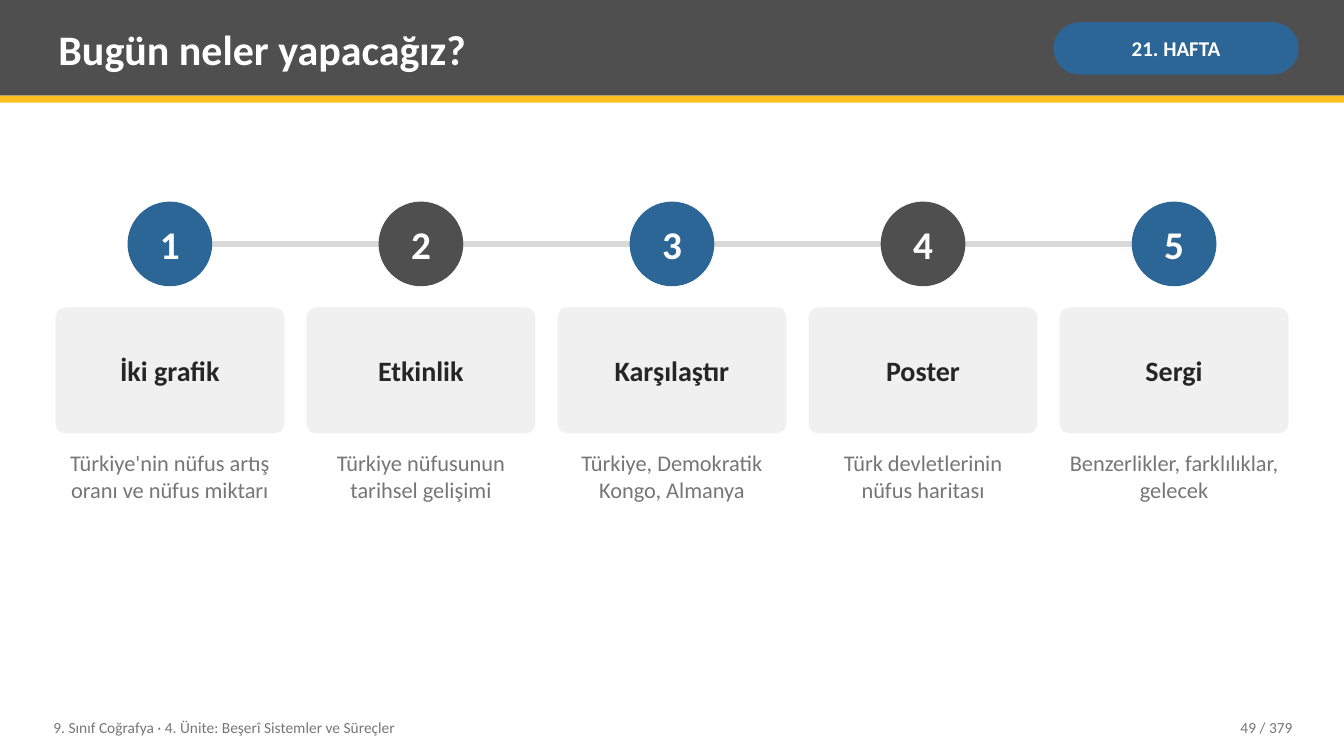
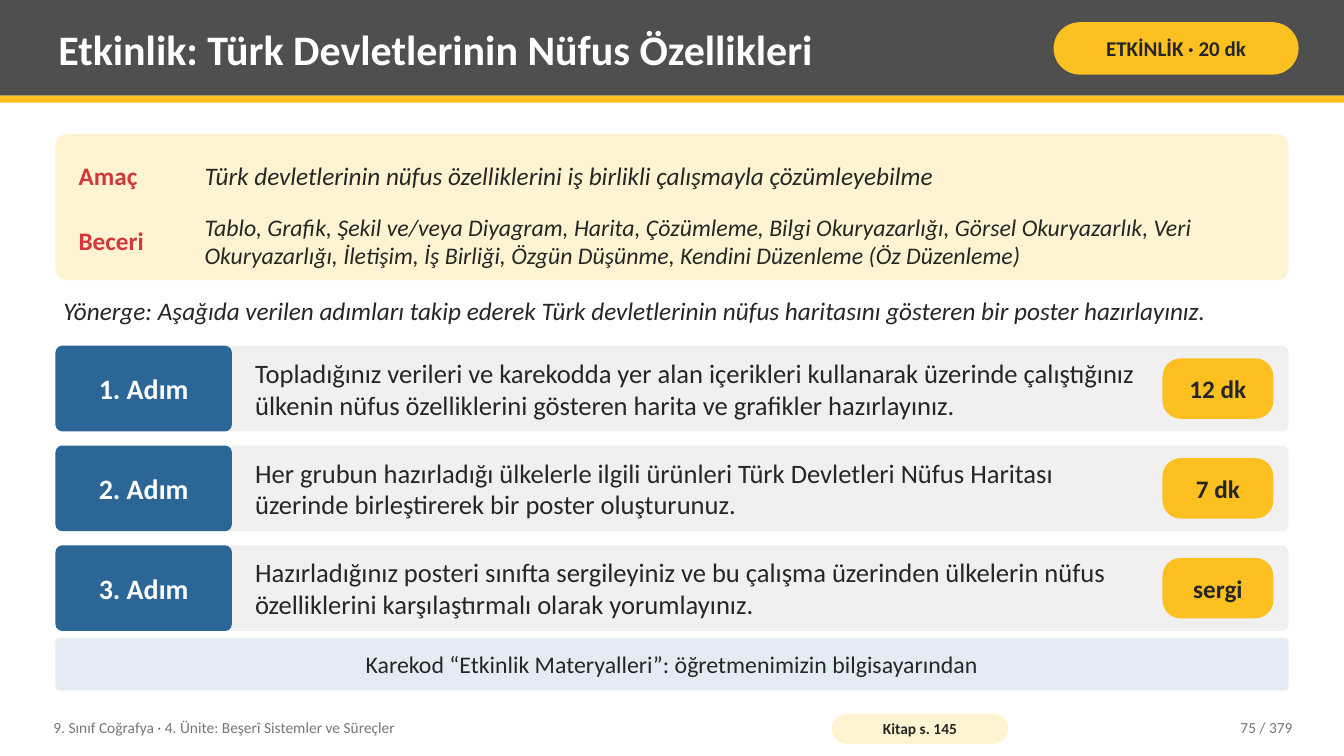
"""Builds two geography lesson slides: the agenda of the week and a group activity."""
from lxml import etree
from pptx import Presentation
from pptx.dml.color import RGBColor
from pptx.enum.shapes import MSO_CONNECTOR, MSO_SHAPE
from pptx.enum.text import MSO_ANCHOR, PP_ALIGN
from pptx.oxml.ns import qn
from pptx.util import Inches, Pt

RECT, ROUND, OVAL = MSO_SHAPE.RECTANGLE, MSO_SHAPE.ROUNDED_RECTANGLE, MSO_SHAPE.OVAL
STRAIGHT = MSO_CONNECTOR.STRAIGHT
TOP, MIDDLE = MSO_ANCHOR.TOP, MSO_ANCHOR.MIDDLE
LEFT, CENTER, RIGHT = PP_ALIGN.LEFT, PP_ALIGN.CENTER, PP_ALIGN.RIGHT

FONT = "Calibri"
COLORS = {
    "white": "FFFFFF", "ink": "262626", "muted": "767676", "band": "4F4F4F",
    "blue": "2C6696", "yellow": "FCC021", "cream": "FFF3D1", "red": "D3373A",
    "panel": "F0F0F0", "ice": "E3ECF5", "rail": "D9D9D9",
}
WIDTH, HEIGHT = 13.33, 7.5
MARGIN = 0.55
CONTENT = WIDTH - 2 * MARGIN
TEXT_INSETS = (0.08, 0.04)

FOOTER = "9. Sınıf Coğrafya · 4. Ünite: Beşerî Sistemler ve Süreçler"
PAGE_COUNT = 379

AGENDA = {
    "title": "Bugün neler yapacağız?",
    "badge": ("21. HAFTA", "blue", "white"),
    "page": 49,
    "stages": [
        ("İki grafik", "Türkiye'nin nüfus artış oranı ve nüfus miktarı"),
        ("Etkinlik", "Türkiye nüfusunun tarihsel gelişimi"),
        ("Karşılaştır", "Türkiye, Demokratik Kongo, Almanya"),
        ("Poster", "Türk devletlerinin nüfus haritası"),
        ("Sergi", "Benzerlikler, farklılıklar, gelecek"),
    ],
}
ACTIVITY = {
    "title": "Etkinlik: Türk Devletlerinin Nüfus Özellikleri",
    "badge": ("ETKİNLİK · 20 dk", "yellow", "ink"),
    "page": 75,
    "book": "Kitap s. 145",
    "goals": [
        ("Amaç", "Türk devletlerinin nüfus özelliklerini iş birlikli çalışmayla "
                 "çözümleyebilme", 18, 1.39, 0.69),
        ("Beceri", "Tablo, Grafik, Şekil ve/veya Diyagram, Harita, Çözümleme, Bilgi "
                   "Okuryazarlığı, Görsel Okuryazarlık, Veri Okuryazarlığı, İletişim, "
                   "İş Birliği, Özgün Düşünme, Kendini Düzenleme (Öz Düzenleme)",
         17, 2.06, 0.66),
    ],
    "instruction": "Yönerge: Aşağıda verilen adımları takip ederek Türk devletlerinin "
                   "nüfus haritasını gösteren bir poster hazırlayınız.",
    "steps": [
        ("Topladığınız verileri ve karekodda yer alan içerikleri kullanarak üzerinde "
         "çalıştığınız ülkenin nüfus özelliklerini gösteren harita ve grafikler "
         "hazırlayınız.", "12 dk"),
        ("Her grubun hazırladığı ülkelerle ilgili ürünleri Türk Devletleri Nüfus "
         "Haritası üzerinde birleştirerek bir poster oluşturunuz.", "7 dk"),
        ("Hazırladığınız posteri sınıfta sergileyiniz ve bu çalışma üzerinden ülkelerin "
         "nüfus özelliklerini karşılaştırmalı olarak yorumlayınız.", "sergi"),
    ],
    "material": "Karekod “Etkinlik Materyalleri”: öğretmenimizin bilgisayarından",
}


def rgb(color):
    return RGBColor.from_string(COLORS[color])


def write(holder, text, size, color="ink", bold=False, italic=False, align=LEFT,
          anchor=MIDDLE, insets=TEXT_INSETS, wrap=True):
    frame = holder.text_frame
    frame.text = text
    frame.word_wrap = wrap
    frame.vertical_anchor = anchor
    frame.margin_left = frame.margin_right = Inches(insets[0])
    frame.margin_top = frame.margin_bottom = Inches(insets[1])
    paragraph = frame.paragraphs[0]
    paragraph.alignment = align
    font = paragraph.runs[0].font
    font.name, font.size, font.bold, font.italic = FONT, Pt(size), bold, italic
    font.color.rgb = rgb(color)


def add_text(slide, box, text, size, **style):
    write(slide.shapes.add_textbox(*map(Inches, box)), text, size, **style)


def add_block(slide, box, fill, kind=ROUND, corner=0.08, text=None, **style):
    block = slide.shapes.add_shape(kind, *map(Inches, box))
    block.shadow.inherit = False
    block.fill.solid()
    block.fill.fore_color.rgb = rgb(fill)
    block.line.fill.background()
    if kind == ROUND:
        block.adjustments[0] = corner
    if text:
        write(block, text, align=CENTER, **style)


def add_rail(slide, start, end, y):
    rail = slide.shapes.add_connector(STRAIGHT, *map(Inches, (start, y, end, y)))
    rail.line.color.rgb = rgb("rail")
    rail.line.width = Pt(4)
    etree.SubElement(rail._element.spPr, qn("a:effectLst"))


def add_frame(deck, content):
    slide = deck.slides.add_slide(deck.slide_layouts[6])
    add_block(slide, (0, 0, WIDTH, 0.95), "band", RECT)
    add_block(slide, (0, 0.95, WIDTH, 0.07), "yellow", RECT)
    add_text(slide, (0.5, 0.07, 9.75, 0.82), content["title"], 30, color="white", bold=True)
    label, fill, color = content["badge"]
    add_block(slide, (10.45, 0.22, 2.43, 0.52), fill, corner=0.5, text=label, size=15,
              color=color, bold=True, insets=(0.05, 0.02))
    add_text(slide, (0.45, 7.04, 7.6, 0.36), FOOTER, 11, color="muted")
    if "book" in content:
        add_block(slide, (8.25, 7.08, 1.75, 0.3), "cream", corner=0.5,
                  text=content["book"], size=11, bold=True, insets=(0.04, 0))
    add_text(slide, (11.3, 7.04, 1.6, 0.36), f"{content['page']} / {PAGE_COUNT}", 11,
             color="muted", align=RIGHT)
    return slide


def build_agenda(deck):
    slide = add_frame(deck, AGENDA)
    stages = AGENDA["stages"]
    gap, circle, circle_top = 0.22, 0.84, 2
    column = (CONTENT - gap * (len(stages) - 1)) / len(stages)
    lefts = [MARGIN + i * (column + gap) for i in range(len(stages))]
    centers = [left + column / 2 for left in lefts]
    add_rail(slide, centers[0], centers[-1], circle_top + circle / 2)
    for i, (name, detail) in enumerate(stages):
        add_block(slide, (centers[i] - circle / 2, circle_top, circle, circle),
                  ("blue", "band")[i % 2], OVAL, text=str(i + 1), size=28,
                  color="white", bold=True, insets=(0, 0), wrap=False)
        add_block(slide, (lefts[i], 3.05, column, 1.25), "panel", text=name, size=20,
                  bold=True, insets=(0.08, 0.08))
        add_text(slide, (lefts[i], 4.42, column, 1.9), detail, 16, color="muted",
                 align=CENTER, anchor=TOP)


def build_activity(deck):
    slide = add_frame(deck, ACTIVITY)
    add_block(slide, (MARGIN, 1.33, CONTENT, 1.45), "cream")
    for label, goal, size, top, height in ACTIVITY["goals"]:
        add_text(slide, (0.7, top, 1.25, height), label, 18, color="red", bold=True)
        add_text(slide, (1.95, top, 10.63, height), goal, size, italic=True)
    add_text(slide, (MARGIN, 2.83, CONTENT, 0.5), ACTIVITY["instruction"], 18, italic=True)

    row, pitch, pill = 0.85, 0.99, 0.6
    for i, (task, duration) in enumerate(ACTIVITY["steps"]):
        top = 3.43 + i * pitch
        add_block(slide, (MARGIN, top, CONTENT, row), "panel")
        add_block(slide, (MARGIN, top, 1.75, row), "blue", text=f"{i + 1}. Adım", size=20,
                  color="white", bold=True, insets=(0.06, 0.08))
        add_text(slide, (2.45, top, 8.88, row), task, 19)
        add_block(slide, (11.53, top + (row - pill) / 2, 1.1, pill), "yellow", corner=0.3,
                  text=duration, size=18, bold=True, insets=(0.03, 0))
    add_block(slide, (MARGIN, 6.33, CONTENT, 0.52), "ice", text=ACTIVITY["material"],
              size=17, insets=(0.14, 0))


def main():
    deck = Presentation()
    deck.slide_width, deck.slide_height = Inches(WIDTH), Inches(HEIGHT)
    build_agenda(deck)
    build_activity(deck)
    deck.save("out.pptx")


if __name__ == "__main__":
    main()
